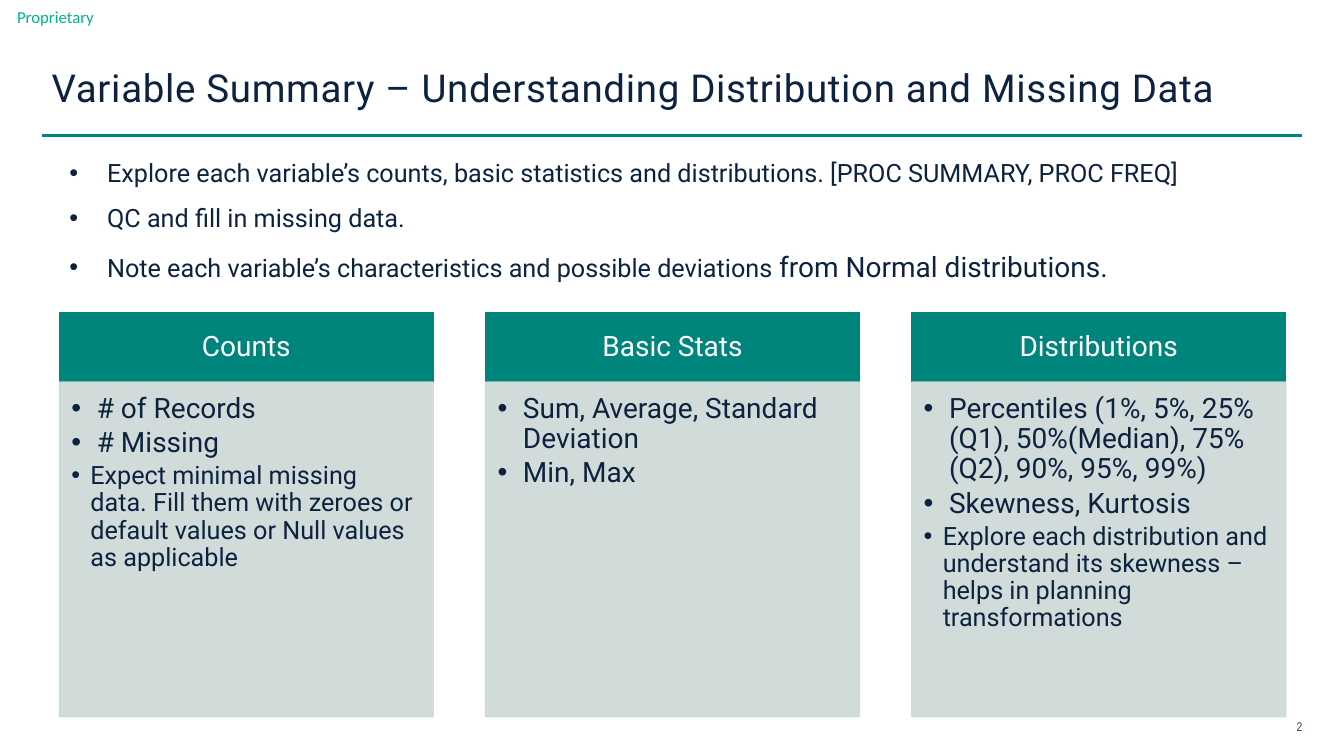
from lxml.etree import SubElement
from pptx import Presentation
from pptx.dml.color import RGBColor
from pptx.enum.shapes import MSO_CONNECTOR as LINE, MSO_SHAPE as SHAPE
from pptx.enum.text import MSO_ANCHOR as ANCHOR, PP_ALIGN as ALIGN
from pptx.oxml.ns import qn
from pptx.util import Cm, Pt

TITLE = "Variable Summary – Understanding Distribution and Missing Data"
LABEL = "Proprietary"
PAGE = "2"
# Each point is a list of (text, size) parts
POINTS = [
    [("Explore each variable’s counts, basic statistics and distributions. "
      "[PROC SUMMARY, PROC FREQ]", 18)],
    [("QC and fill in missing data.", 18)],
    [("Note each variable’s characteristics and possible deviations ", 18),
     ("from Normal distributions.", 20)],
]
# Each card is a heading, its items and a smaller closing remark
CARDS = [
    ("Counts", ["# of Records", "# Missing"],
     "Expect minimal missing data. Fill them with zeroes or default values "
     "or Null values as applicable"),
    ("Basic Stats", ["Sum, Average, Standard Deviation", "Min, Max"], None),
    ("Distributions",
     ["Percentiles (1%, 5%, 25%(Q1), 50%(Median), 75%(Q2), 90%, 95%, 99%)",
      "Skewness, Kurtosis"],
     "Explore each distribution and understand its skewness – helps in "
     "planning transformations"),
]

TEAL = RGBColor(0x00, 0x85, 0x7C)
MINT = RGBColor(0x00, 0xB2, 0x94)
NAVY = RGBColor(0x0C, 0x23, 0x40)
SLATE = RGBColor(0x37, 0x42, 0x4A)
PALE = RGBColor(0xCC, 0xD9, 0xD7)
WHITE = RGBColor(0xFF, 0xFF, 0xFF)

LEFT, WIDTH, PITCH = 1.5, 9.42, 10.74
HEAD_TOP, HEAD_H, BODY_H = 7.87, 1.76, 8.43


def style(run, size, color, face="Roboto", track=None):
    font = run.font
    font.size, font.name = Pt(size), face
    font.color.rgb = color
    if track:
        run._r.get_or_add_rPr().set("spc", str(track))


def inset(frame, left, top, right, bottom):
    frame.word_wrap = True
    frame.margin_left, frame.margin_top = Cm(left), Cm(top)
    frame.margin_right, frame.margin_bottom = Cm(right), Cm(bottom)


def add_box(slide, *area):
    box = slide.shapes.add_textbox(*map(Cm, area))
    frame = box.text_frame
    inset(frame, 0.25, 0.13, 0.25, 0.13)
    return frame


def add_line(slide, text, area, size, color, face, track=None, pad=0):
    """Add one vertically centred line of text and return its paragraph."""
    frame = add_box(slide, *area)
    inset(frame, pad, pad / 2, pad, pad / 2)
    frame.vertical_anchor = ANCHOR.MIDDLE
    frame.text = text
    para = frame.paragraphs[0]
    style(para.runs[0], size, color, face, track)
    return para


def add_panel(slide, color, alpha, *area):
    panel = slide.shapes.add_shape(SHAPE.RECTANGLE, *map(Cm, area))
    panel.shadow.inherit = False
    panel.fill.solid()
    panel.fill.fore_color.rgb = color
    panel.line.color.rgb = color
    panel.line.width = Pt(1)
    if alpha < 100:
        for tint in panel._element.spPr.iter(qn("a:srgbClr")):
            SubElement(tint, qn("a:alpha"), val=str(alpha * 1000))
    return panel.text_frame


def add_list(frame, items, spacing, after=0):
    """Fill a frame with bullets given as (parts, indent) pairs."""
    for i, (parts, indent) in enumerate(items):
        para = frame.add_paragraph() if i else frame.paragraphs[0]
        para.text = parts[0][0]
        for text, _ in parts[1:]:
            para.add_run().text = text
        para.alignment = ALIGN.LEFT
        para.line_spacing = spacing
        para.space_after = Pt(after)
        props = para._p.get_or_add_pPr()
        props.set("marL", str(Cm(indent)))
        props.set("indent", str(-Cm(indent)))
        SubElement(props, qn("a:buFont"), typeface="Arial")
        SubElement(props, qn("a:buChar"), char="•")
        for run, (_, size) in zip(para.runs, parts):
            style(run, size, NAVY)


def add_card(slide, left, title, items, remark):
    head = add_panel(slide, TEAL, 100, left, HEAD_TOP, WIDTH, HEAD_H)
    inset(head, 0.4, 0.23, 0.4, 0.23)
    head.vertical_anchor = ANCHOR.MIDDLE
    head.text = title
    para = head.paragraphs[0]
    para.alignment, para.line_spacing = ALIGN.CENTER, 0.9
    style(para.runs[0], 20, WHITE)

    body = add_panel(slide, PALE, 90, left, HEAD_TOP + HEAD_H, WIDTH, BODY_H)
    inset(body, 0.3, 0.3, 0.4, 0.43)
    body.vertical_anchor = ANCHOR.TOP
    rows = [([(item, 20)], 0.64) for item in items]
    if remark:
        rows.append(([(remark, 18)], 0.48))
    add_list(body, rows, 0.9, 3)


def main():
    deck = Presentation()
    deck.slide_width, deck.slide_height = Cm(33.87), Cm(19.05)
    slide = deck.slides.add_slide(deck.slide_layouts[6])

    rule = slide.shapes.add_connector(
        LINE.STRAIGHT, Cm(1.05), Cm(3.41), Cm(32.82), Cm(3.41))
    rule.line.color.rgb, rule.line.width = TEAL, Pt(2.5)
    SubElement(rule._element.spPr, qn("a:effectLst"))

    # The label box sits slightly in from the slide edge
    add_line(slide, LABEL, (0.43, 0, 2.6, 0.86), 12, MINT, "Calibri")
    page = add_line(slide, PAGE, (32.18, 18.01, 0.64, 0.61), 9, SLATE,
                    "Arial Narrow", 10)
    page.alignment = ALIGN.RIGHT
    title = add_line(slide, TITLE, (1.05, 1.09, 31.77, 2.36), 27.5, NAVY,
                     "Roboto", 50, 0.25)
    title.line_spacing = 0.9

    for i, card in enumerate(CARDS):
        add_card(slide, LEFT + i * PITCH, *card)

    points = add_box(slide, LEFT, 3.45, 31.32, 3.68)
    add_list(points, [(parts, 0.95) for parts in POINTS], 1.5)
    deck.save("out.pptx")


if __name__ == "__main__":
    main()
